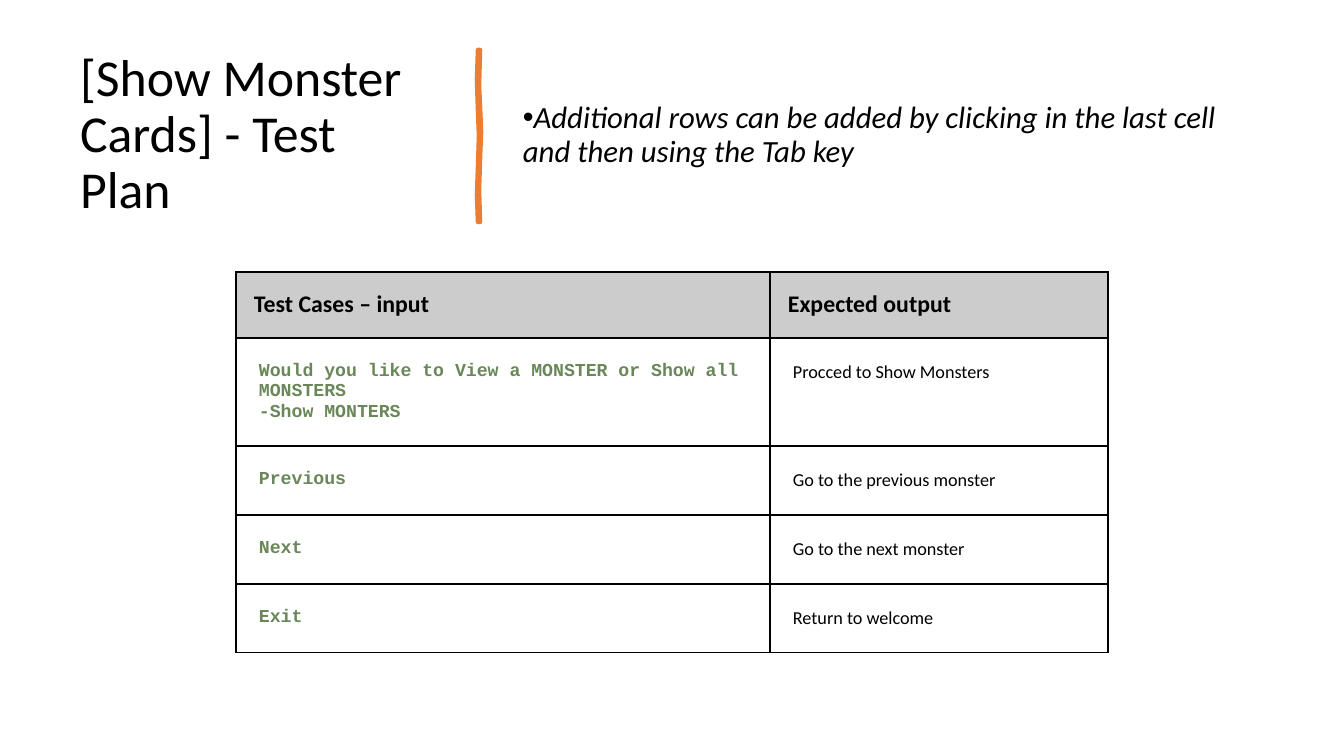
from pptx import Presentation
from pptx.dml.color import RGBColor
from pptx.enum.text import MSO_ANCHOR, MSO_AUTO_SIZE, PP_ALIGN
from pptx.oxml import parse_xml
from pptx.oxml.ns import nsdecls
from pptx.util import Pt

MIDDLE, TOP = MSO_ANCHOR.MIDDLE, MSO_ANCHOR.TOP
FIXED, LEFT = MSO_AUTO_SIZE.NONE, PP_ALIGN.LEFT

PX = 9071.43  # EMU per px
SIZE = (1344, 756)
COLORS = {"ink": "000000", "accent": "ED7D31", "head": "CCCCCC",
          "code": "6A8759", "page": "FFFFFF"}

TITLE = "[Show Monster Cards] - Test Plan"
NOTE = "Additional rows can be added by clicking in the last cell and then using the Tab key"
ROWS = [
    ("Test Cases – input", "Expected output"),
    ("Would you like to View a MONSTER or Show all MONSTERS\n-Show MONTERS",
     "Procced to Show Monsters"),
    ("Previous", "Go to the previous monster"),
    ("Next", "Go to the next monster"),
    ("Exit", "Return to welcome"),
]

TITLE_BOX = (70, 55, 377, 161)
NOTE_BOX = (513, 55, 760, 161)
TABLE_AT = (236, 272)
COLS = (534, 338)
HEIGHTS = (66, 108, 69, 69, 69)
HEAD_PAD, BODY_PAD = 18, 23
INDENT = 25
STROKE = [(480, 50), (479, 86), (480, 106), (481, 132), (480, 158),
          (479, 190), (480, 222), (478, 222), (477, 195), (478, 168),
          (479, 136), (478, 110), (477, 80), (478, 50)]

FONTS = {
    "title": {"name": "Calibri", "size": Pt(37), "bold": False},
    "note": {"name": "Calibri", "size": Pt(22), "italic": True},
    "head": {"name": "Calibri", "size": Pt(17), "bold": True},
    "code": {"name": "Courier New", "size": Pt(13), "bold": True},
    "body": {"name": "Calibri", "size": Pt(13), "bold": False},
}


def emu(px):
    return round(px * PX)


def rgb(key):
    return RGBColor.from_string(COLORS[key])


def style(frame, kind, color="ink", **para):
    for par in frame.paragraphs:
        for key, val in para.items():
            setattr(par, key, val)
        for run in par.runs:
            for key, val in FONTS[kind].items():
                setattr(run.font, key, val)
            run.font.color.rgb = rgb(color)


def place(shape, box):
    for key, val in zip(("left", "top", "width", "height"), box):
        setattr(shape, key, emu(val))
    frame = shape.text_frame
    frame.word_wrap = True
    frame.auto_size = FIXED
    frame.vertical_anchor = MIDDLE
    return frame


def add_bar(slide):
    pts = [(emu(x), emu(y)) for x, y in STROKE]
    path = slide.shapes.build_freeform(*pts[0])
    path.add_line_segments(pts[1:], close=True)
    bar = path.convert_to_shape()
    bar.shadow.inherit = False
    bar.fill.solid()
    bar.fill.fore_color.rgb = rgb("accent")
    bar.line.color.rgb = rgb("accent")
    bar.line.width = Pt(3.25)
    bar.line._get_or_add_ln().append(parse_xml(f"<a:round {nsdecls('a')}/>"))


def add_note(slide):
    box = slide.shapes.add_textbox(0, 0, 0, 0)
    frame = place(box, NOTE_BOX)
    frame.text = NOTE
    style(frame, "note", line_spacing=0.9, space_after=Pt(6))
    props = frame.paragraphs[0]._p.get_or_add_pPr()
    props.set("marL", "0")
    props.set("indent", str(-emu(INDENT)))
    for tag in ('buFont typeface="Arial"', 'buChar char="•"'):
        props.append(parse_xml(f"<a:{tag} {nsdecls('a')}/>"))


def add_edges(cell):
    props = cell._tc.get_or_add_tcPr()
    for i, side in enumerate("LRTB"):
        props.insert(i, parse_xml(
            f'<a:ln{side} {nsdecls("a")} w="{Pt(1)}"><a:solidFill>'
            f'<a:srgbClr val="{COLORS["ink"]}"/></a:solidFill></a:ln{side}>'))


def add_cases(slide):
    box = (*TABLE_AT, sum(COLS), sum(HEIGHTS))
    table = slide.shapes.add_table(len(ROWS), len(COLS), *map(emu, box)).table
    table.first_row = table.horz_banding = False
    for col, width in zip(table.columns, COLS):
        col.width = emu(width)
    for r, (texts, height) in enumerate(zip(ROWS, HEIGHTS)):
        table.rows[r].height = emu(height)
        for c, text in enumerate(texts):
            cell = table.cell(r, c)
            cell.text = text
            cell.vertical_anchor = TOP
            kind = "head" if r == 0 else ("code", "body")[c]
            for side in ("left", "right", "top", "bottom"):
                setattr(cell, f"margin_{side}", emu(BODY_PAD if r else HEAD_PAD))
            cell.fill.solid()
            cell.fill.fore_color.rgb = rgb("page" if r else "head")
            style(cell.text_frame, kind, "code" if kind == "code" else "ink")
            add_edges(cell)


def main():
    deck = Presentation()
    deck.slide_width, deck.slide_height = map(emu, SIZE)
    slide = deck.slides.add_slide(deck.slide_layouts[5])
    frame = place(slide.shapes.title, TITLE_BOX)
    frame.text = TITLE
    style(frame, "title", line_spacing=0.9, alignment=LEFT)
    add_bar(slide)
    add_note(slide)
    add_cases(slide)
    deck.save("out.pptx")


if __name__ == "__main__":
    main()
